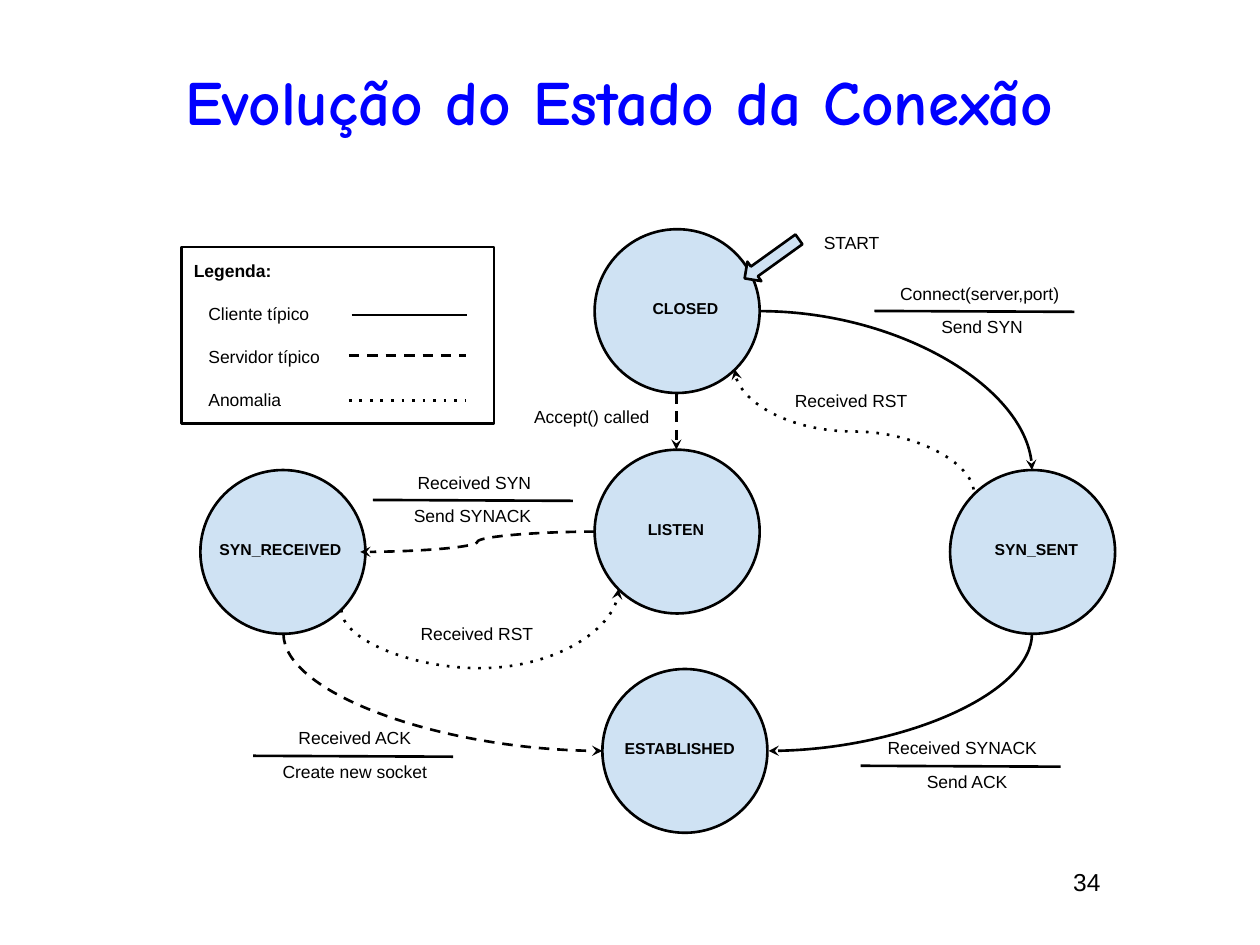
"""Build the slide with the TCP connection state diagram."""
import dataclasses

import pptx
import pptx.dml.color
import pptx.enum.shapes
import pptx.enum.text
import pptx.oxml
import pptx.oxml.ns
import pptx.util

Pt = pptx.util.Pt
ALIGN = pptx.enum.text.PP_ALIGN
ANCHOR = pptx.enum.text.MSO_ANCHOR
SHAPE = pptx.enum.shapes.MSO_SHAPE
CONNECTOR = pptx.enum.shapes.MSO_CONNECTOR


@dataclasses.dataclass(frozen=True)
class Theme:
    font: str = "Arial"
    title_font: str = "Comic Neue"
    ink: str = "000000"
    title_color: str = "0000FF"
    state_fill: str = "CFE2F3"
    title_size: int = 36
    number_size: int = 14
    label_size: int = 10
    state_size: int = 9
    line_width: float = 1.5
    inset: float = 7.2
    state_width: float = 94.3
    state_height: float = 93.6
    label_height: float = 25


def write(paragraph, text, *, font, size, color, bold=False, align=ALIGN.LEFT, before=0, indent=0):
    if indent:
        properties = paragraph._p.get_or_add_pPr()
        properties.set("marL", str(Pt(indent)))
        properties.set("indent", "0")
    paragraph.alignment = align
    paragraph.space_before = Pt(before)
    run = paragraph.add_run()
    run.text = text
    run.font.name = font
    run.font.size = Pt(size)
    run.font.bold = bold
    run.font.color.rgb = pptx.dml.color.RGBColor.from_string(color)


def append(parent, tag, **attributes):
    element = pptx.oxml.parse_xml(f"<a:{tag} {pptx.oxml.ns.nsdecls('a')}/>")
    for name, value in attributes.items():
        element.set(name, str(value))
    parent.append(element)


class Diagram:
    def __init__(self, slide, theme):
        self.slide = slide
        self.theme = theme

    def frame(self, shape, vertical_inset, anchor=ANCHOR.TOP):
        frame = shape.text_frame
        frame.word_wrap = True
        frame.vertical_anchor = anchor
        frame.margin_left = frame.margin_right = Pt(self.theme.inset)
        frame.margin_top = frame.margin_bottom = Pt(vertical_inset)
        return frame

    def title(self, text, left, top, width, height):
        shape = self.slide.shapes.title
        shape.left, shape.top, shape.width, shape.height = map(Pt, (left, top, width, height))
        frame = self.frame(shape, 3.6, ANCHOR.MIDDLE)
        write(frame.paragraphs[0], text, font=self.theme.title_font, size=self.theme.title_size,
              color=self.theme.title_color, bold=True, align=ALIGN.CENTER)

    def label(self, text, left, top, width, size=None, vertical_inset=None, **style):
        box = self.slide.shapes.add_textbox(Pt(left), Pt(top), Pt(width), Pt(self.theme.label_height))
        inset = self.theme.inset if vertical_inset is None else vertical_inset
        frame = self.frame(box, inset)
        write(frame.paragraphs[0], text, font=self.theme.font, color=self.theme.ink,
              size=size or self.theme.label_size, **style)

    def shape(self, kind, left, top, width, height, fill=None):
        shape = self.slide.shapes.add_shape(kind, Pt(left), Pt(top), Pt(width), Pt(height))
        shape.shadow.inherit = False
        if fill:
            shape.fill.solid()
            shape.fill.fore_color.rgb = pptx.dml.color.RGBColor.from_string(fill)
        else:
            shape.fill.background()
        self.outline(shape)
        return shape

    def outline(self, shape):
        shape.line.width = Pt(self.theme.line_width)
        shape.line.color.rgb = pptx.dml.color.RGBColor.from_string(self.theme.ink)

    def state(self, name, left, top, label_left, label_width, align=ALIGN.CENTER):
        self.shape(SHAPE.OVAL, left, top, self.theme.state_width, self.theme.state_height,
                   self.theme.state_fill)
        self.label(name, label_left, top + 34.4, label_width, size=self.theme.state_size,
                   bold=True, align=align)

    def line(self, start, end, kind=CONNECTOR.STRAIGHT, dash=None, head=False, tail=False):
        connector = self.slide.shapes.add_connector(kind, *map(Pt, (*start, *end)))
        self.outline(connector)
        properties = connector._element.spPr
        line = properties.find(pptx.oxml.ns.qn("a:ln"))
        if dash:
            append(line, "prstDash", val=dash)
        if head:
            append(line, "headEnd", type="stealth")
        if tail:
            append(line, "tailEnd", type="stealth")
        append(properties, "effectLst")
        return connector

    def curve(self, start, end, bends=2, vertical=True, bend_at=None, **style):
        (x1, y1), (x2, y2) = start, end
        if vertical:
            turn = 1 if x2 < x1 else -1
            across, down = turn * (y2 - y1) / 2, -turn * (x2 - x1) / 2
            x, y = (x1 + x2) / 2, (y1 + y2) / 2
            start, end = (x - across, y - down), (x + across, y + down)
        connector = self.line(start, end, CONNECTOR.CURVE, **style)
        properties = connector._element.spPr
        if vertical:
            properties.xfrm.set("rot", str(turn * 90 % 360 * 60000))
        geometry = properties.find(pptx.oxml.ns.qn("a:prstGeom"))
        geometry.set("prst", f"curvedConnector{bends}")
        if bend_at is not None:
            guides = geometry.find(pptx.oxml.ns.qn("a:avLst"))
            append(guides, "gd", name="adj1", fmla=f"val {round(bend_at * 100000)}")

    def transition(self, event, action, left, top, event_width, action_left, action_width):
        self.label(event, left, top, event_width, align=ALIGN.CENTER)
        self.label(action, action_left, top + 19, action_width, align=ALIGN.CENTER)
        self.line((left, top + 22.2), (left + 114.3, top + 22.7))

    def legend(self, heading, entries, left, top, width, height):
        box = self.shape(SHAPE.RECTANGLE, left, top, width, height)
        frame = self.frame(box, self.theme.inset, ANCHOR.MIDDLE)
        style = dict(font=self.theme.font, size=self.theme.label_size, color=self.theme.ink)
        write(frame.paragraphs[0], heading, bold=True, **style)
        for text, dash, start, end in entries:
            write(frame.add_paragraph(), text, before=12.5, indent=8.3, **style)
            self.line(start, end, dash=dash)


def main():
    presentation = pptx.Presentation()
    presentation.slide_width, presentation.slide_height = Pt(720), Pt(540)
    slide = presentation.slides.add_slide(presentation.slide_layouts[5])
    theme = Theme()
    diagram = Diagram(slide, theme)
    diagram.title("Evolução do Estado da Conexão", 23.8, 30.2, 660.2, 54)
    diagram.label("34", 606.2, 491.8, 72, size=theme.number_size, vertical_inset=3.6)

    for state in (
        ("CLOSED", 339.8, 131, 361.4, 60.5),
        ("ESTABLISHED", 344.2, 382.3, 349.9, 84.2, ALIGN.LEFT),
        ("SYN_RECEIVED", 114.5, 268.6, 114.5, 91.4),
        ("SYN_SENT", 542.9, 268.6, 557.3, 69.8),
        ("LISTEN", 339.8, 257, 350.6, 71.3),
    ):
        diagram.state(*state)

    diagram.curve((434.2, 177.8), (589.7, 268.6), vertical=False, tail=True)
    diagram.curve((419.8, 211), (556.6, 282.2), bends=3, bend_at=0.5, dash="dot", head=True)
    diagram.curve((589.7, 362.2), (439.2, 429.1), tail=True)
    diagram.curve((162, 362.2), (344.2, 429.1), dash="dash", tail=True)
    diagram.curve((386.6, 224.6), (386.6, 257), bends=3, bend_at=0.5, dash="dash", tail=True)
    diagram.curve((339.8, 303.8), (205.9, 315.4), bends=3, vertical=False, bend_at=0.5,
                  dash="dash", tail=True)
    diagram.curve((195.1, 348.5), (353.5, 336.5), bends=3, bend_at=-2.78, dash="dot", tail=True)

    arrow = diagram.shape(SHAPE.RIGHT_ARROW, 421.9, 141.1, 38.2, 13.7, theme.state_fill)
    arrow.rotation = 144.3

    for transition in (
        ("Connect(server,port)", "Send SYN", 499.7, 155.5, 120.2, 527, 68.4),
        ("Received SYNACK", "Send ACK", 491.8, 415.4, 115.9, 518.4, 68.4),
        ("Received SYN", "Send SYNACK", 213.1, 263.5, 115.9, 224.6, 90.7),
        ("Received ACK", "Create new socket", 144.7, 409.7, 115.9, 150.5, 104.4),
    ):
        diagram.transition(*transition)

    for text, left, top in (
        ("Accept() called", 298.1, 226.1),
        ("Received RST", 233.3, 349.9),
        ("Received RST", 447.1, 216.7),
        ("START", 463.7, 126.7),
    ):
        diagram.label(text, left, top, 82.8)

    diagram.legend("Legenda:", (
        ("Cliente típico", None, (200.9, 180), (267.1, 180)),
        ("Servidor típico", "dash", (199.4, 203), (266.4, 203)),
        ("Anomalia", "dot", (199.4, 229), (266.4, 229)),
    ), 103.7, 141.1, 178.6, 100.8)
    presentation.save("out.pptx")


if __name__ == "__main__":
    main()
